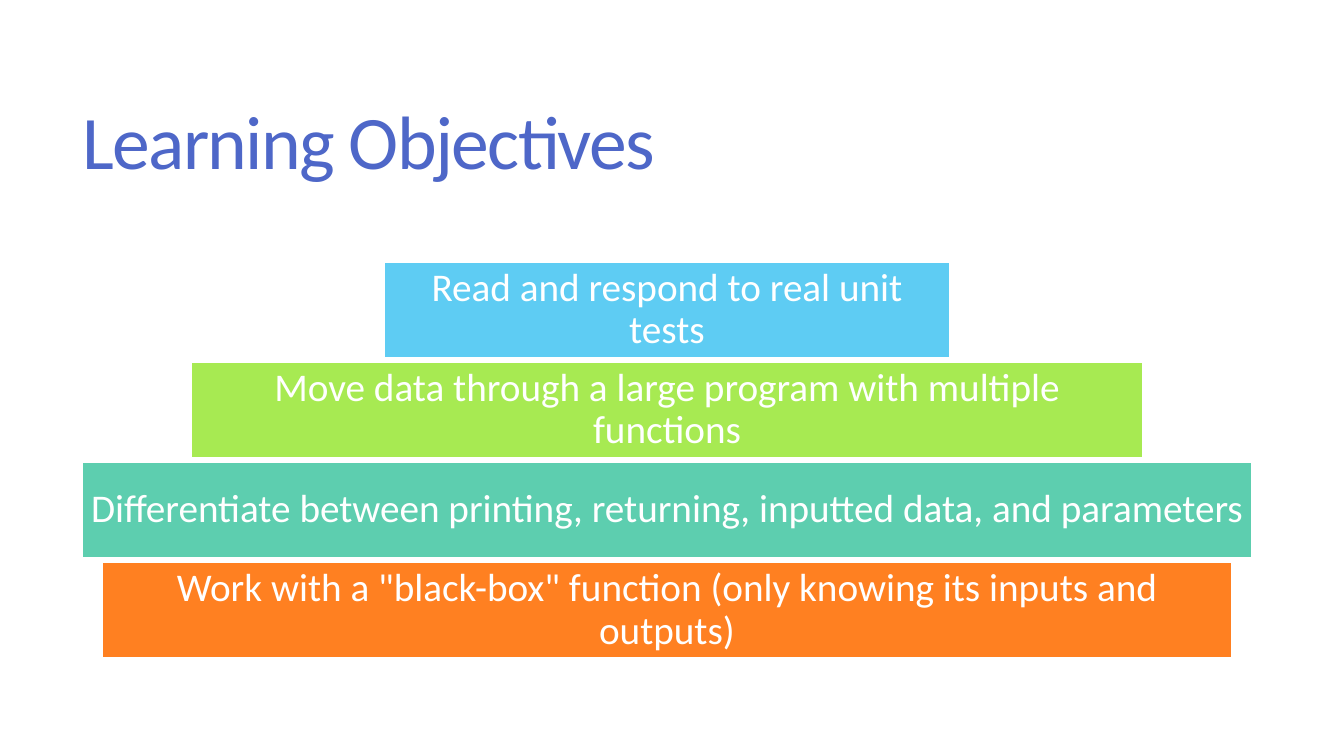
import pptx
import pptx.util
import pptx.dml.color
import pptx.enum.shapes
import pptx.enum.text

SLIDE_WIDTH, SLIDE_HEIGHT = 13.33, 7.5
BAR_CENTER = 6.615
BAR_TOP, BAR_HEIGHT, BAR_PITCH = 2.6, 0.95, 0.993
BAR_INSET = 0.08
FONT = "Calibri"
OBJECTIVES = [
    ("Read and respond to real unit tests", 5.61, "5ECCF3"),
    ("Move data through a large program with multiple functions", 9.45, "A7EA52"),
    ("Differentiate between printing, returning, inputted data, and parameters", 11.61, "5DCEAF"),
    ('Work with a "black-box" function (only knowing its inputs and outputs)', 11.21, "FF8021"),
]


def color(value):
    return pptx.dml.color.RGBColor.from_string(value)


def box(left, top, width, height):
    return [pptx.util.Inches(length) for length in (left, top, width, height)]


def write(shape, text, size, hex_color, alignment, line_spacing):
    frame = shape.text_frame
    frame.word_wrap = True
    frame.vertical_anchor = pptx.enum.text.MSO_ANCHOR.MIDDLE
    paragraph = frame.paragraphs[0]
    paragraph.alignment = alignment
    paragraph.line_spacing = line_spacing
    run = paragraph.add_run()
    run.text = text
    run.font.name = FONT
    run.font.size = pptx.util.Pt(size)
    run.font.color.rgb = color(hex_color)
    return run


def add_title(slide, text):
    shape = slide.shapes.add_textbox(*box(0.72, 0.55, 11.78, 1.81))
    run = write(shape, text, 54, "4E67C8", pptx.enum.text.PP_ALIGN.LEFT, 0.85)
    run._r.get_or_add_rPr().set("spc", "-120")


def add_bar(slide, row, text, width, fill):
    left = BAR_CENTER - width / 2
    top = BAR_TOP + row * BAR_PITCH
    shape = slide.shapes.add_shape(
        pptx.enum.shapes.MSO_SHAPE.RECTANGLE, *box(left, top, width, BAR_HEIGHT))
    shape.shadow.inherit = False
    shape.fill.solid()
    shape.fill.fore_color.rgb = color(fill)
    shape.line.color.rgb = color("FFFFFF")
    shape.line.width = pptx.util.Pt(1.5)
    frame = shape.text_frame
    inset = pptx.util.Inches(BAR_INSET)
    frame.margin_left = frame.margin_right = inset
    frame.margin_top = frame.margin_bottom = inset
    write(shape, text, 28, "FFFFFF", pptx.enum.text.PP_ALIGN.CENTER, 0.9)


def main():
    presentation = pptx.Presentation()
    presentation.slide_width = pptx.util.Inches(SLIDE_WIDTH)
    presentation.slide_height = pptx.util.Inches(SLIDE_HEIGHT)
    slide = presentation.slides.add_slide(presentation.slide_layouts[6])
    add_title(slide, "Learning Objectives")
    for row, (text, width, fill) in enumerate(OBJECTIVES):
        add_bar(slide, row, text, width, fill)
    presentation.save("out.pptx")


if __name__ == "__main__":
    main()
